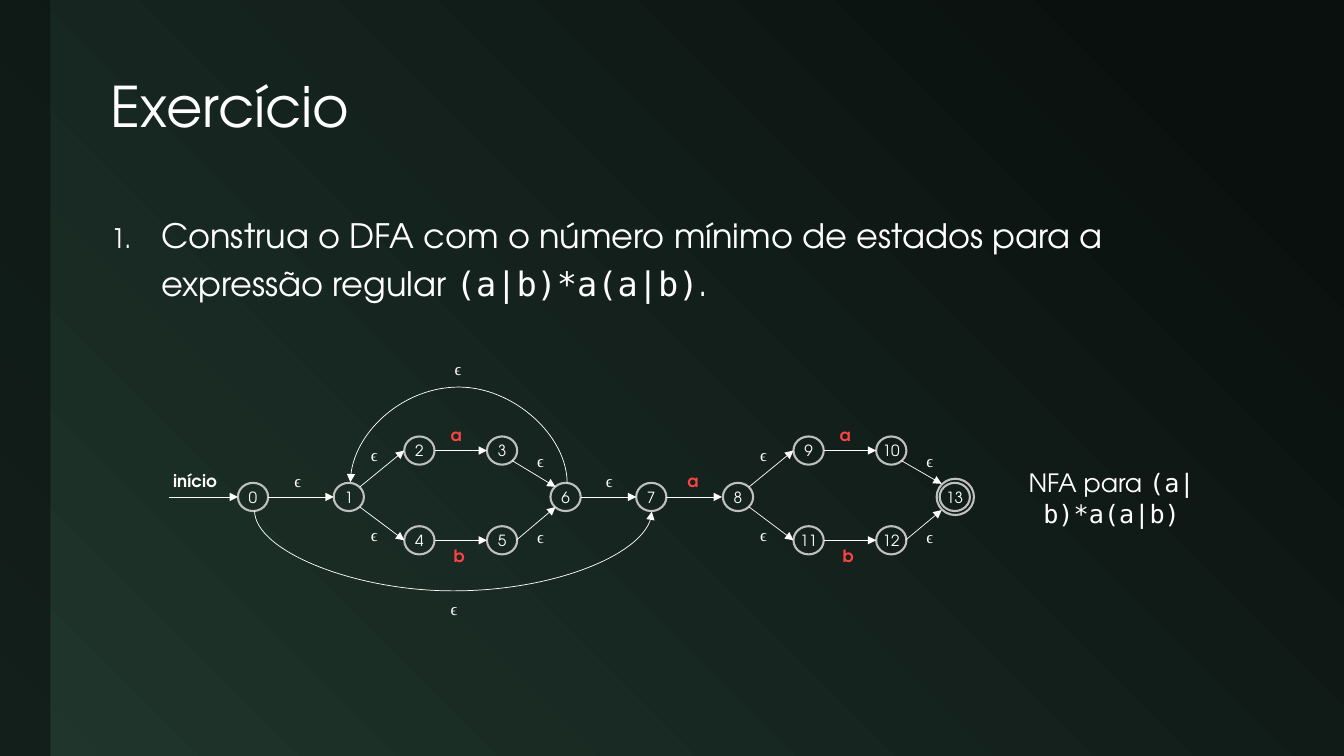
from lxml import etree
from pptx import Presentation
from pptx.dml.color import RGBColor
from pptx.enum.shapes import MSO_CONNECTOR, MSO_SHAPE
from pptx.enum.text import MSO_ANCHOR, MSO_AUTO_SIZE, PP_ALIGN
from pptx.oxml.ns import qn
from pptx.util import Emu, Pt

LINE, CURVE = MSO_CONNECTOR.STRAIGHT, MSO_CONNECTOR.CURVE
RECT, OVAL = MSO_SHAPE.RECTANGLE, MSO_SHAPE.OVAL
TOP, MIDDLE = MSO_ANCHOR.TOP, MSO_ANCHOR.MIDDLE
LEFT, CENTER = PP_ALIGN.LEFT, PP_ALIGN.CENTER
GROW = MSO_AUTO_SIZE.SHAPE_TO_FIT_TEXT
EPS = "ϵ"
REGEX = "(a|b)*a(a|b)"


def px(*vals):
    """100 px make one inch."""
    return [Emu(round(v * 9144)) for v in vals]


def rgb(code):
    return RGBColor.from_string(code)


def sub(parent, tag, **attrs):
    return etree.SubElement(parent, qn(tag), **attrs)


class Board:
    sans, mono, serif = "TeX Gyre Adventor", "DejaVu Sans Mono", "Times New Roman"
    white, gray, red = "FFFFFF", "BFBFBF", "FF4343"
    dark, green = "0A100E", "20362D"

    def __init__(self, slide):
        self.slide = slide
        self.shapes = slide.shapes

    def back(self):
        fill = self.slide.background.fill
        fill.gradient()
        fill.gradient_angle = 225
        for stop, at, code in zip(fill.gradient_stops, (0.1, 1), (self.dark, self.green)):
            stop.position = at
            stop.color.rgb = rgb(code)

    def band(self, x, y, w, h, alpha):
        bar = self.shapes.add_shape(RECT, *px(x, y, w, h))
        bar.shadow.inherit = False
        bar.fill.solid()
        bar.fill.fore_color.rgb = rgb(self.dark)
        bar.line.fill.background()
        color = bar.fill._xPr.find(qn("a:solidFill"))[0]
        sub(color, "a:alpha", val=str(alpha * 1000))

    def style(self, run, size, font=None, color=None, bold=False):
        run.font.name = font or self.sans
        run.font.size = Pt(size)
        run.font.bold = bold
        run.font.color.rgb = rgb(color or self.white)

    def text(self, x, y, w, h, parts, size, anchor=TOP, align=LEFT, space=None):
        """Wrapped paragraph; parts are (words, font) pairs."""
        frame = self.shapes.add_textbox(*px(x, y, w, h)).text_frame
        frame.word_wrap = True
        frame.vertical_anchor = anchor
        para = frame.paragraphs[0]
        para.alignment = align
        para.line_spacing = space
        for words, font in parts:
            run = para.add_run()
            run.text = words
            self.style(run, size, font)
        return para

    def number(self, para, indent):
        props = para._p.get_or_add_pPr()
        props.set("marL", str(px(indent)[0]))
        props.set("indent", str(-px(indent)[0]))
        sub(props, "a:buSzPct", val="80000")
        sub(props, "a:buFont", typeface=self.sans)
        sub(props, "a:buAutoNum", type="arabicPeriod")

    def label(self, x, y, words, w=33, color=None):
        frame = self.shapes.add_textbox(*px(x, y, w, 32)).text_frame
        frame.word_wrap = False
        frame.auto_size = GROW
        frame.text = words
        greek = words == EPS
        self.style(frame.paragraphs[0].runs[0], 12,
                   self.serif if greek else self.sans, color, not greek)

    def eps(self, x, y):
        self.label(x, y, EPS, 29)

    def ring(self, x, y, w, h):
        oval = self.shapes.add_shape(OVAL, *px(x, y, w, h))
        oval.shadow.inherit = False
        oval.fill.background()
        oval.line.color.rgb = rgb(self.gray)
        oval.line.width = Pt(1.5)
        return oval

    def node(self, x, y, name):
        frame = self.ring(x, y, 30, 28).text_frame
        frame.margin_left = frame.margin_right = 0
        frame.margin_top = frame.margin_bottom = 0
        frame.word_wrap = True
        frame.vertical_anchor = MIDDLE
        frame.text = name
        frame.paragraphs[0].alignment = CENTER
        self.style(frame.paragraphs[0].runs[0], 11)

    def arrow(self, x1, y1, x2, y2, kind=LINE):
        link = self.shapes.add_connector(kind, *px(x1, y1, x2, y2))
        link.line.color.rgb = rgb(self.white)
        link.line.width = Pt(0.5)
        sub(link.line._get_or_add_ln(), "a:tailEnd", type="triangle")
        props = link._element.spPr
        sub(props, "a:effectLst")
        return props

    def arc(self, x1, x2, y, depth):
        """U-shaped arrow: a one px wide curve, turned by 270 degrees."""
        mid, half = (x1 + x2) / 2, (x2 - x1) / 2
        start = mid + (half > 0)
        end = mid + (half < 0)
        props = self.arrow(start, y - half, end, y + half, CURVE)
        props.find(qn("a:xfrm")).set("rot", "16200000")
        geom = props.find(qn("a:prstGeom"))
        guides = geom.find(qn("a:avLst"))
        if guides is None:
            guides = sub(geom, "a:avLst")
        sub(guides, "a:gd", name="adj1", fmla=f"val {depth * 100000}")

    def fork(self, dx, names, gap):
        """Branches a and b between two states; gap widens the end state."""
        left, upper, above, lower, below, right = names
        for x, y, name in ((331, 479, left), (401, 433, upper), (483, 433, above),
                           (401, 522, lower), (483, 522, below), (546, 479, right)):
            self.node(x + dx, y, name)
        for x1, y1, x2, y2 in ((357, 483, 401, 447), (357, 503, 401, 536),
                               (431, 447, 483, 447), (431, 536, 483, 536),
                               (508, 457, 551 - gap, 483 - gap),
                               (512, 536, 551 - gap, 503 + gap)):
            self.arrow(x1 + dx, y1, x2 + dx, y2)
        for x, y in ((358, 436), (358, 516), (523, 442), (523, 518)):
            self.eps(x + dx, y)
        self.label(437 + dx, 416, "a", color=self.red)
        self.label(440 + dx, 536, "b", color=self.red)


def main():
    deck = Presentation()
    deck.slide_width, deck.slide_height = px(1333, 750)
    board = Board(deck.slides.add_slide(deck.slide_layouts[6]))

    # Backdrop
    board.back()
    board.band(0, 0, 50, 750, 60)

    # Title and task
    board.text(100, 42, 1165, 133, [("Exercício", board.sans)], 40, MIDDLE, space=0.9)
    task = board.text(100, 200, 1165, 483, [
        ("Construa o DFA com o número mínimo de estados para a expressão regular ",
         board.sans), (REGEX, board.mono), (".", board.sans)], 24, space=1.2)
    board.number(task, 50)

    # States and branches
    board.node(236, 479, "0")
    board.node(631, 479, "7")
    board.fork(0, "123456", 0)
    board.fork(386, ("8", "9", "10", "11", "12", "13"), 3)
    board.ring(929, 475, 37, 36)

    # Main row of arrows
    for x1, x2 in ((168, 236), (266, 331), (576, 631), (661, 716)):
        board.arrow(x1, 493, x2, 493)
    board.label(162, 462, "início", 67)
    board.eps(282, 462)
    board.eps(591, 462)
    board.label(672, 462, "a", color=board.red)

    # Long arcs
    board.arc(252, 646, 507, 81)
    board.eps(437, 589)
    board.arc(562, 347, 479, 97)
    board.eps(441, 351)

    # Caption
    board.text(1004, 459, 197, 71, [("NFA para ", board.sans), (REGEX, board.mono)],
               18, align=CENTER)

    deck.save("out.pptx")


if __name__ == "__main__":
    main()
